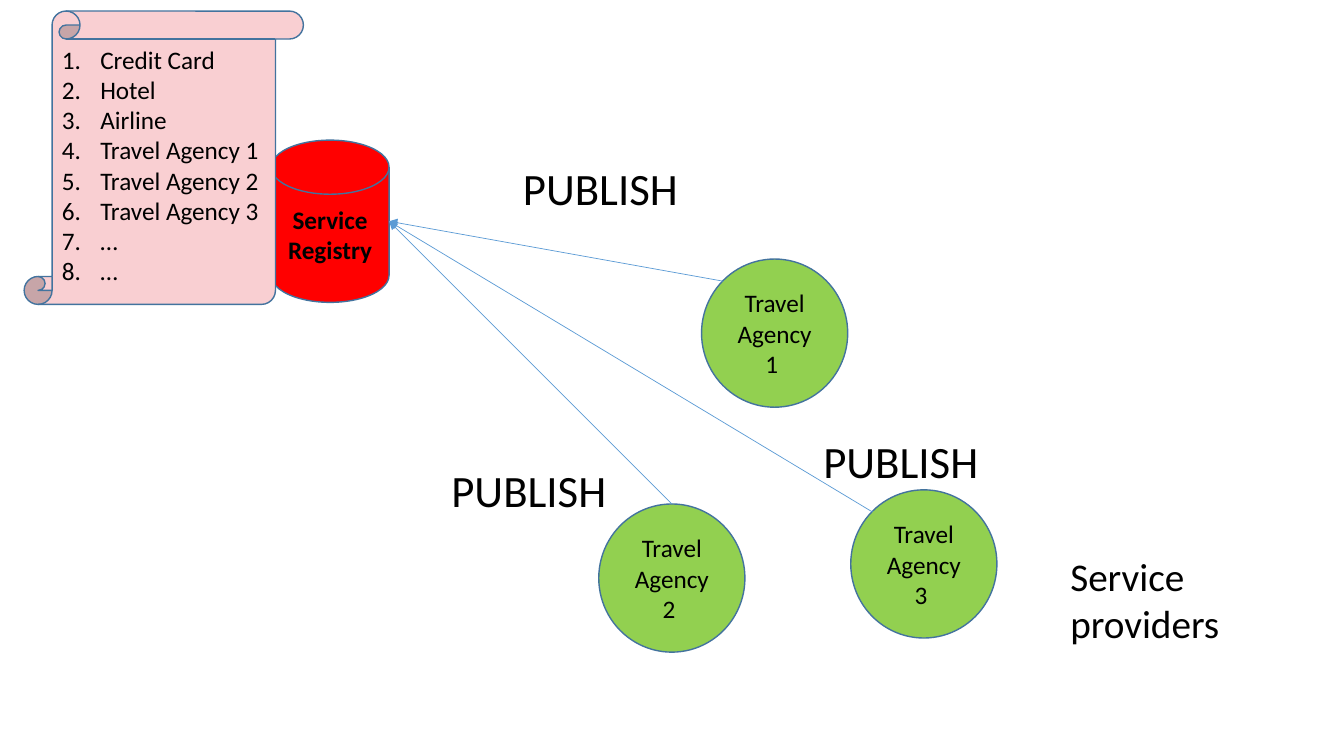
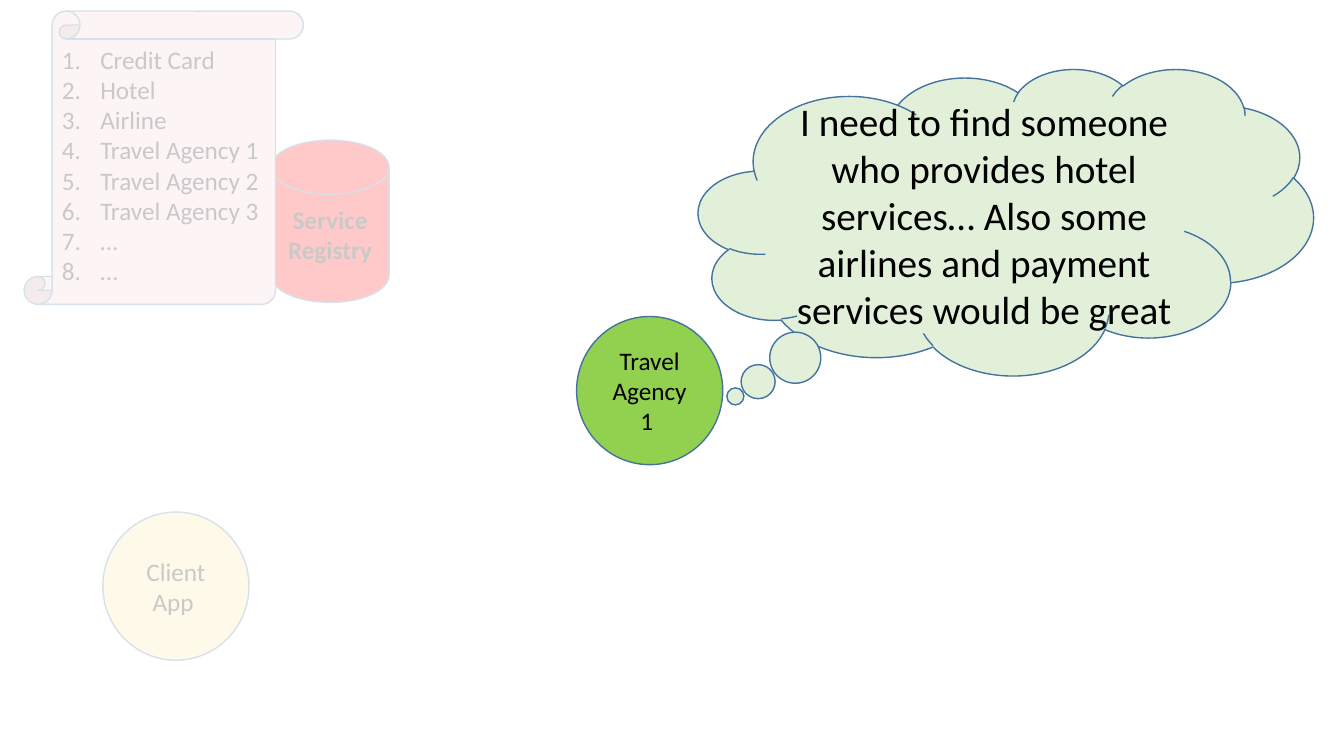
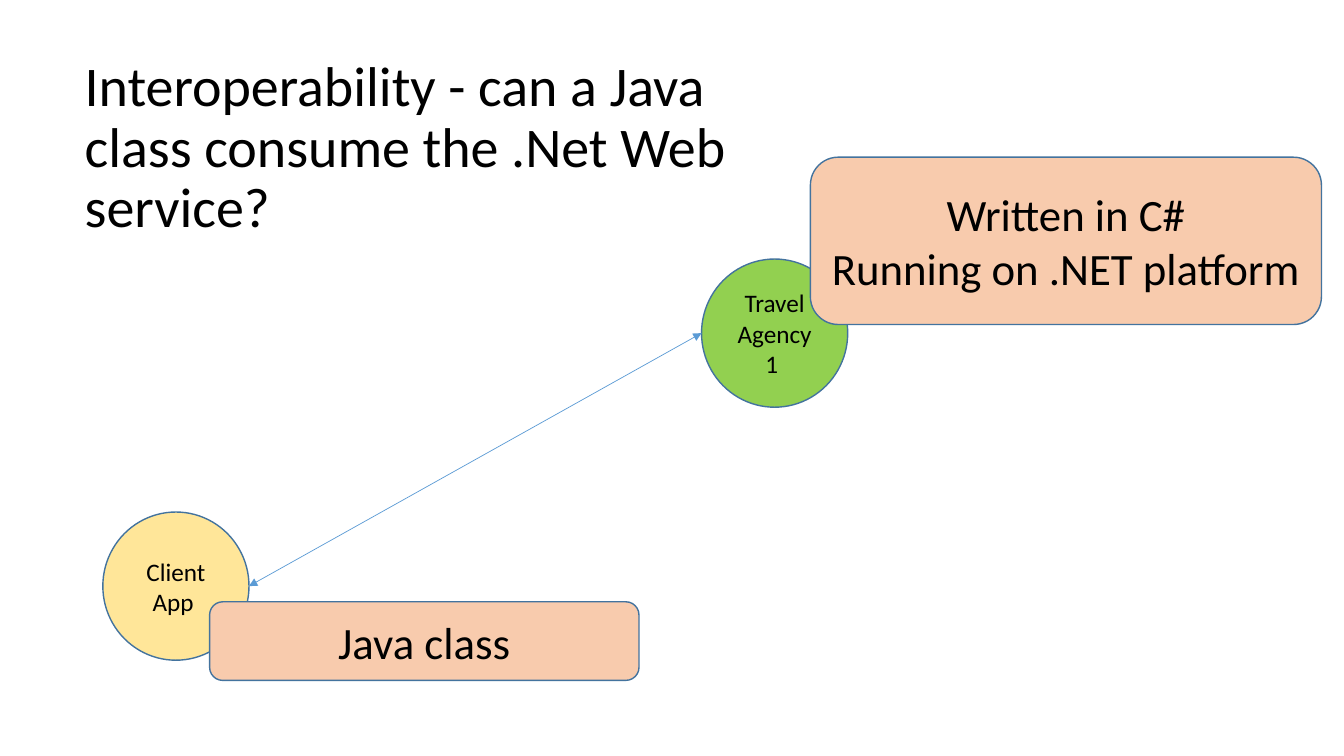
from dataclasses import dataclass

from pptx import Presentation
from pptx.dml.color import RGBColor
from pptx.enum.shapes import MSO_CONNECTOR, MSO_SHAPE
from pptx.enum.text import MSO_ANCHOR, MSO_AUTO_SIZE, PP_ALIGN
from pptx.oxml.ns import qn
from pptx.util import Inches, Pt
from lxml import etree

CIRCLE = MSO_SHAPE.FLOWCHART_CONNECTOR
DISK = MSO_SHAPE.FLOWCHART_MAGNETIC_DISK
SCROLL = MSO_SHAPE.VERTICAL_SCROLL
CLOUD = MSO_SHAPE.CLOUD_CALLOUT
ROUNDED = MSO_SHAPE.ROUNDED_RECTANGLE
STRAIGHT = MSO_CONNECTOR.STRAIGHT
LEFT, CENTER = PP_ALIGN.LEFT, PP_ALIGN.CENTER
TOP, MIDDLE = MSO_ANCHOR.TOP, MSO_ANCHOR.MIDDLE
NO_FIT, GROW = MSO_AUTO_SIZE.NONE, MSO_AUTO_SIZE.SHAPE_TO_FIT_TEXT

COLUMNS, ROWS = 160, 90
CELL = Inches(1 / 12)
TITLE_ONLY, BLANK = 5, 6


@dataclass(frozen=True)
class Theme:
    font: str = "Calibri"
    text: str = "000000"
    outline: str = "43739E"
    arrow: str = "5B9BD5"
    agency: str = "92D050"
    client: str = "FFE699"
    registry: str = "FF0000"
    scroll: str = "F9CFD2"
    thought: str = "E2F0D9"
    note: str = "F8CBAD"
    veil: str = "FFFFFF"
    small: int = 18
    medium: int = 28
    large: int = 32
    title: int = 40


THEME = Theme()

CIRCLE_SIZE = (17.4, 17.64)
LABEL_SIZE = (23.28, 7.68)
AGENCY_HOME = (83.52, 30.84)
CLIENT_HOME = (12.24, 60.96)

# Points on an outline, as shares of its width and height
TOP_MIDDLE = (0.5, 0)
TOP_LEFT = (0.15, 0.15)
LEFT_MIDDLE = (0, 0.5)
RIGHT_MIDDLE = (1, 0.5)

SERVICES = ["Credit Card", "Hotel", "Airline", "Travel Agency 1",
            "Travel Agency 2", "Travel Agency 3", "…", "…"]


def cells(*counts):
    return [round(count * CELL) for count in counts]


def write(shape, lines, size=THEME.small, bold=False, align=LEFT, anchor=TOP,
          fit=NO_FIT, numbered=False, spacing=None, before=None):
    """Fill a shape with one paragraph for each line."""
    frame = shape.text_frame
    frame.word_wrap = True
    frame.auto_size = fit
    frame.vertical_anchor = anchor
    for index, line in enumerate(lines):
        para = frame.add_paragraph() if index else frame.paragraphs[0]
        para.alignment = align
        para.line_spacing = spacing
        para.space_before = before
        span = para.add_run()
        span.text = line
        span.font.name = THEME.font
        span.font.size = Pt(size)
        span.font.bold = bold
        span.font.color.rgb = RGBColor.from_string(THEME.text)
        if numbered:
            number(para)


def number(para):
    indent = Inches(0.38)
    settings = para._p.get_or_add_pPr()
    settings.set("marL", str(indent))
    settings.set("indent", str(-indent))
    etree.SubElement(settings, qn("a:buFont"), typeface="+mj-lt")
    etree.SubElement(settings, qn("a:buAutoNum"), type="arabicPeriod")


def add_figure(page, kind, place, fill, lines=(), adjustments=(), outlined=True,
               align=CENTER, anchor=MIDDLE, **text_format):
    shape = page.shapes.add_shape(kind, *cells(*place))
    shape.shadow.inherit = False
    shape.fill.solid()
    shape.fill.fore_color.rgb = RGBColor.from_string(fill)
    if outlined:
        shape.line.color.rgb = RGBColor.from_string(THEME.outline)
        shape.line.width = Pt(1)
    else:
        shape.line.fill.background()
    for index, value in enumerate(adjustments):
        shape.adjustments[index] = value
    write(shape, lines, align=align, anchor=anchor, **text_format)
    return shape


def add_label(page, place, text, size):
    box = page.shapes.add_textbox(*cells(*place))
    write(box, [text], size=size, fit=GROW)


def add_agency(page, number_shown, corner=AGENCY_HOME):
    return add_figure(page, CIRCLE, (*corner, *CIRCLE_SIZE), THEME.agency,
                      [f"Travel Agency {number_shown} "])


def add_client(page):
    return add_figure(page, CIRCLE, (*CLIENT_HOME, *CIRCLE_SIZE), THEME.client,
                      ["Client App "])


def add_registry(page):
    return add_figure(page, DISK, (32.28, 16.68, 14.04, 19.32), THEME.registry,
                      ["Service Registry"], bold=True)


def add_service_list(page):
    add_figure(page, SCROLL, (2.88, 1.32, 33.24, 34.92), THEME.scroll, SERVICES,
               adjustments=[0.1], align=LEFT, anchor=TOP, numbered=True)


def add_note(page, place, lines):
    add_figure(page, ROUNDED, place, THEME.note, lines, size=THEME.large)


def add_veil(page, place, opacity):
    veil = add_figure(page, ROUNDED, place, THEME.veil, outlined=False)
    color = veil._element.spPr.find(qn("a:solidFill"))[0]
    etree.SubElement(color, qn("a:alpha"), val=str(opacity * 1000))


def point_on(shape, share):
    across, down = share
    return (round(shape.left + across * shape.width),
            round(shape.top + down * shape.height))


def add_arrow(page, start, end, both_ends=False):
    """Draw an arrow between two (shape, share) pairs."""
    arrow = page.shapes.add_connector(STRAIGHT, *point_on(*start), *point_on(*end))
    arrow.line.color.rgb = RGBColor.from_string(THEME.arrow)
    arrow.line.width = Pt(0.5)
    outline = arrow.line._get_or_add_ln()
    for tag in ("a:headEnd", "a:tailEnd") if both_ends else ("a:tailEnd",):
        etree.SubElement(outline, qn(tag), type="triangle")
    etree.SubElement(arrow._element.spPr, qn("a:effectLst"))


def add_page(deck, layout=BLANK):
    return deck.slides.add_slide(deck.slide_layouts[layout])


def build_publish(deck):
    page = add_page(deck)
    agencies = [add_agency(page, 1),
                add_agency(page, 2, (71.28, 60)),
                add_agency(page, 3, (101.28, 58.32))]
    registry = add_registry(page)
    for agency, share in zip(agencies, (TOP_LEFT, TOP_MIDDLE, TOP_LEFT)):
        add_arrow(page, (agency, share), (registry, RIGHT_MIDDLE))
    for corner in ((61.08, 18.6), (96.84, 51), (52.56, 54.48)):
        add_label(page, (*corner, *LABEL_SIZE), "PUBLISH", THEME.large)
    add_label(page, (126.24, 65.16, 30.36, 12.48), "Service providers", THEME.medium)
    add_service_list(page)


def build_search(deck):
    page = add_page(deck)
    add_agency(page, 1, (68.64, 37.68))
    add_client(page)
    add_registry(page)
    add_service_list(page)
    add_veil(page, (1.32, 0, 60.12, 81.96), opacity=79)
    add_figure(page, CLOUD, (83.16, 8.16, 73.2, 36.48), THEME.thought,
               ["I need to find someone who provides hotel services… Also some "
                "airlines and payment services would be great"],
               adjustments=[-0.44, 0.57], size=THEME.medium)


def build_interoperability(deck):
    page = add_page(deck, TITLE_ONLY)
    title = page.shapes.title
    title.left, title.top, title.width, title.height = cells(8.88, 6.36, 81.36, 28.92)
    write(title, ["Interoperability - can a Java class consume the .Net Web service?"],
          size=THEME.title, spacing=0.9, before=Pt(10))
    agency = add_agency(page, 1)
    client = add_client(page)
    add_arrow(page, (client, RIGHT_MIDDLE), (agency, LEFT_MIDDLE), both_ends=True)
    add_note(page, (24.96, 71.64, 51.12, 9.36), ["Java class"])
    add_note(page, (96.48, 18.72, 60.84, 19.92),
             ["Written in C#", "Running on .NET platform"])


def main():
    deck = Presentation()
    deck.slide_width, deck.slide_height = cells(COLUMNS, ROWS)
    build_publish(deck)
    build_search(deck)
    build_interoperability(deck)
    deck.save("out.pptx")


if __name__ == "__main__":
    main()
